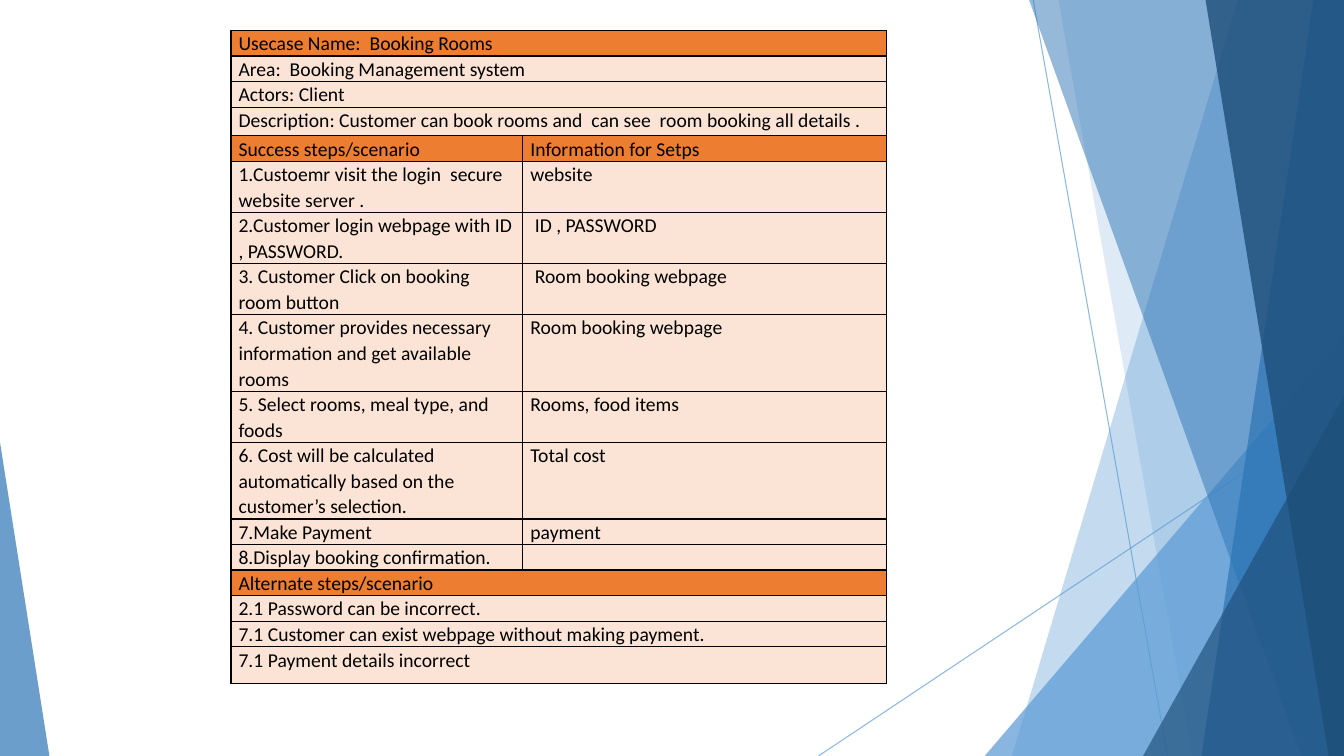
from dataclasses import dataclass

from lxml.etree import SubElement
from pptx import Presentation
from pptx.dml.color import RGBColor
from pptx.enum.shapes import MSO_CONNECTOR as Connector, MSO_SHAPE as Shape
from pptx.oxml import parse_xml
from pptx.oxml.ns import nsdecls, qn
from pptx.util import Pt


@dataclass(frozen=True)
class Theme:
    sky: str = "5B9BD5"
    blue: str = "2E75B5"
    navy: str = "1E4E79"
    heading: str = "ED7D31"
    body: str = "FBE4D5"
    ink: str = "000000"
    font: str = "Calibri"
    text_size: float = 14
    line_spacing: float = 1.07
    hairline: float = 0.75
    border: float = 1


THEME = Theme()
PAGE_WIDTH, PAGE_HEIGHT = 960, 540

# Start x, start y, end x, end y
RAYS = [(738, 0, 834, 540), (960, 290, 584.6, 540)]

# Panels reach the right edge: top-left x, bottom-left x, colour, opacity
# Triangles: left, top, width, height, apex position, colour, opacity
BACKDROP = [
    ("panel", (884.2, 722.9), THEME.sky, 36),
    ("panel", (756, 851.8), THEME.sky, 20),
    ("triangle", (703.4, 239.8, 256.6, 300.2, 1), THEME.sky, 72),
    ("panel", (735.1, 929.5), THEME.blue, 50),
    ("panel", (938.2, 858.2), THEME.blue, 70),
    ("panel", (861.1, 949), THEME.navy, 80),
    ("triangle", (816.5, 283, 143.5, 257, 1), THEME.navy, 66),
    ("triangle", (0, 316, 35.3, 224, 0), THEME.blue, 70),
]

TABLE_LEFT, TABLE_TOP = 165, 21.75
COLUMN_WIDTHS = [208.5, 259.5]
LINE_HEIGHT = 18.2
CELL_INSET = 5.4

# Texts of the row (a single text spans both columns), height in lines
ROWS = [
    (["Usecase Name:  Booking Rooms"], 1),
    (["Area:  Booking Management system"], 1),
    (["Actors: Client"], 1),
    (["Description: Customer can book rooms and  can see  room booking all details ."], 1.13),
    (["Success steps/scenario", "Information for Setps"], 1),
    (["1.Custoemr visit the login  secure website server .", "website"], 2),
    (["2.Customer login webpage with ID , PASSWORD.", " ID , PASSWORD"], 2),
    (["3. Customer Click on booking room button", " Room booking webpage"], 2),
    (["4. Customer provides necessary information and get available rooms",
      "Room booking webpage"], 3),
    (["5. Select rooms, meal type, and foods", "Rooms, food items"], 2),
    (["6. Cost will be calculated automatically based on the customer’s selection.",
      "Total cost"], 3),
    (["7.Make Payment", "payment"], 1),
    (["8.Display booking confirmation.", ""], 1),
    (["Alternate steps/scenario"], 1),
    (["2.1 Password can be incorrect."], 1),
    (["7.1 Customer can exist webpage without making payment."], 1),
    (["7.1 Payment details incorrect"], 1.46),
]
HEADING_ROWS = {0, 4, 13}


def set_opacity(element, percent):
    """Make the solid colour found inside the element see-through."""
    color = next(element.iter(qn("a:srgbClr")))
    SubElement(color, qn("a:alpha")).set("val", str(percent * 1000))


def add_ray(page, x1, y1, x2, y2):
    ray = page.shapes.add_connector(Connector.STRAIGHT, Pt(x1), Pt(y1), Pt(x2), Pt(y2))
    ray.line.color.rgb = RGBColor.from_string(THEME.sky)
    ray.line.width = Pt(THEME.hairline)
    properties = ray._element.spPr
    set_opacity(properties, 70)
    SubElement(properties, qn("a:effectLst"))


def add_panel(page, top_x, bottom_x):
    outline = page.shapes.build_freeform(Pt(top_x), Pt(0))
    corners = [(PAGE_WIDTH, 0), (PAGE_WIDTH, PAGE_HEIGHT), (bottom_x, PAGE_HEIGHT)]
    outline.add_line_segments([(Pt(x), Pt(y)) for x, y in corners], close=True)
    return outline.convert_to_shape()


def add_triangle(page, left, top, width, height, apex):
    triangle = page.shapes.add_shape(
        Shape.ISOSCELES_TRIANGLE, Pt(left), Pt(top), Pt(width), Pt(height))
    triangle.adjustments[0] = apex
    return triangle


def add_backdrop(page):
    for ray in RAYS:
        add_ray(page, *ray)
    builders = {"panel": add_panel, "triangle": add_triangle}
    for kind, geometry, color, opacity in BACKDROP:
        shape = builders[kind](page, *geometry)
        shape.shadow.inherit = False
        shape.line.fill.background()
        shape.fill.solid()
        shape.fill.fore_color.rgb = RGBColor.from_string(color)
        set_opacity(shape._element.spPr, opacity)


def add_borders(cell):
    properties = cell._tc.get_or_add_tcPr()
    for place, side in enumerate(("lnL", "lnR", "lnT", "lnB")):
        properties.insert(place, parse_xml(
            f'<a:{side} {nsdecls("a")} w="{Pt(THEME.border)}"><a:solidFill>'
            f'<a:srgbClr val="{THEME.ink}"/></a:solidFill></a:{side}>'))


def style_cell(cell, color):
    cell.margin_left = cell.margin_right = Pt(CELL_INSET)
    cell.margin_top = cell.margin_bottom = Pt(0)
    cell.fill.solid()
    cell.fill.fore_color.rgb = RGBColor.from_string(color)
    add_borders(cell)
    para = cell.text_frame.paragraphs[0]
    para.line_spacing = THEME.line_spacing
    para.font.name = THEME.font
    para.font.size = Pt(THEME.text_size)
    para.font.color.rgb = RGBColor.from_string(THEME.ink)


def add_use_case_table(page):
    total_height = sum(lines for _, lines in ROWS) * LINE_HEIGHT
    table = page.shapes.add_table(
        len(ROWS), len(COLUMN_WIDTHS), Pt(TABLE_LEFT), Pt(TABLE_TOP),
        Pt(sum(COLUMN_WIDTHS)), Pt(total_height)).table
    table.first_row = table.horz_banding = False
    for column, width in zip(table.columns, COLUMN_WIDTHS):
        column.width = Pt(width)
    for index, (texts, lines) in enumerate(ROWS):
        row = table.rows[index]
        row.height = Pt(lines * LINE_HEIGHT)
        for cell, text in zip(row.cells, texts):
            cell.text = text
        for cell in row.cells:
            style_cell(cell, THEME.heading if index in HEADING_ROWS else THEME.body)
        if len(texts) == 1:
            table.cell(index, 0).merge(table.cell(index, 1))


def main():
    deck = Presentation()
    deck.slide_width, deck.slide_height = Pt(PAGE_WIDTH), Pt(PAGE_HEIGHT)
    page = deck.slides.add_slide(deck.slide_layouts[6])
    add_backdrop(page)
    add_use_case_table(page)
    deck.save("out.pptx")


if __name__ == "__main__":
    main()
